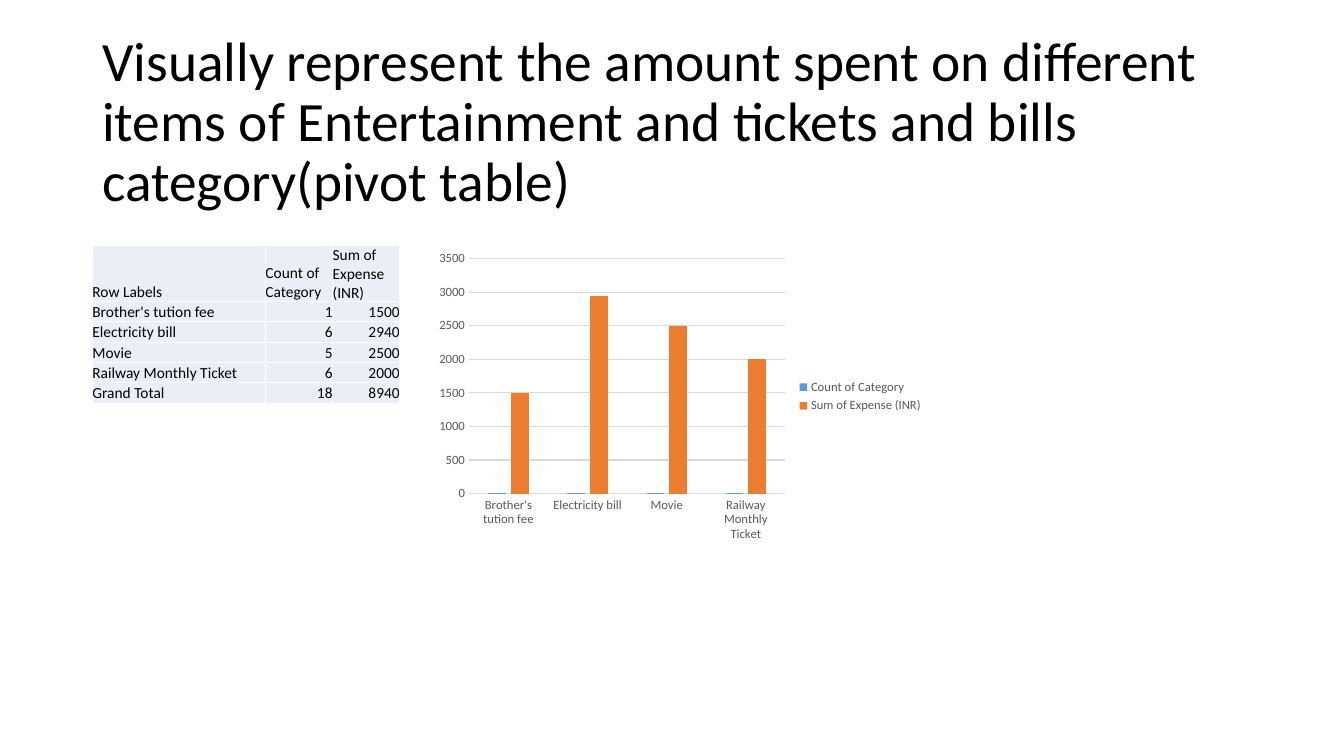
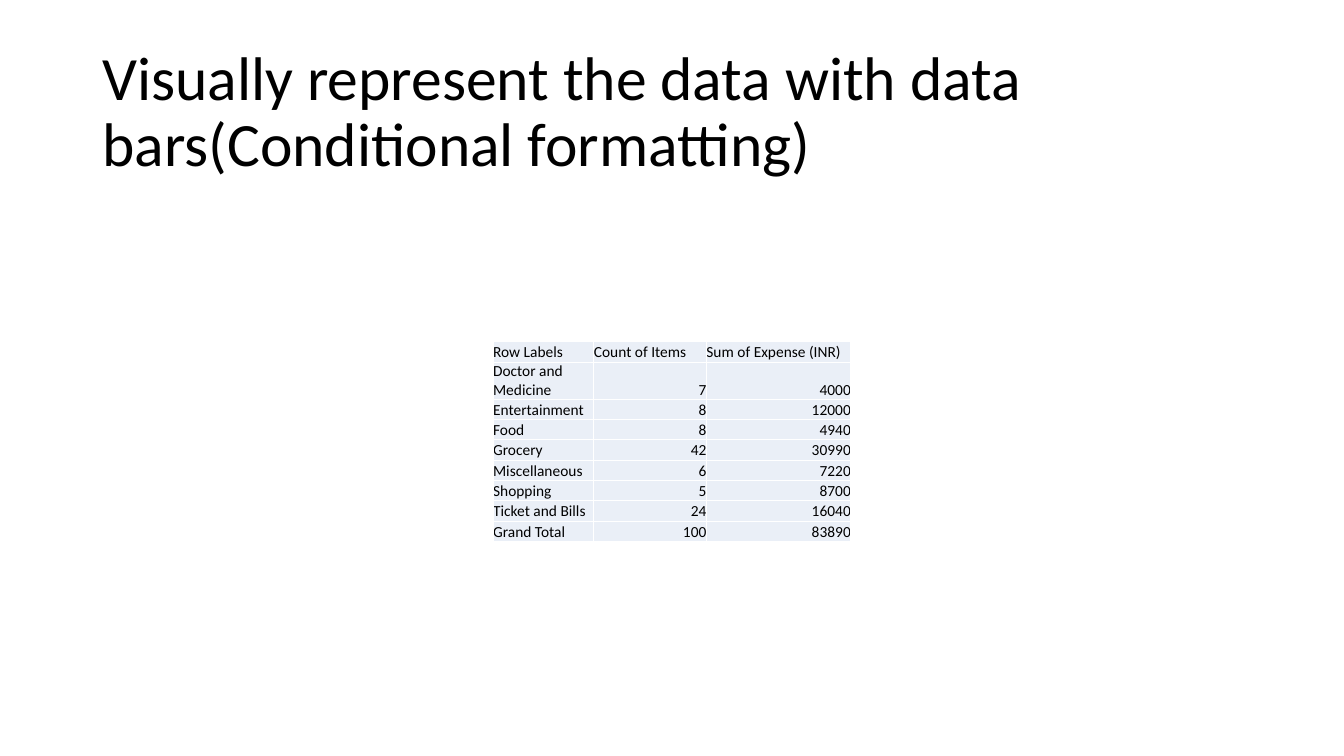
from lxml import etree
from pptx import Presentation
from pptx.chart.data import CategoryChartData
from pptx.dml.color import RGBColor
from pptx.enum.chart import XL_CHART_TYPE, XL_LEGEND_POSITION, XL_TICK_MARK
from pptx.enum.text import MSO_ANCHOR, PP_ALIGN
from pptx.oxml.ns import qn
from pptx.util import Inches, Pt

BARS = XL_CHART_TYPE.COLUMN_CLUSTERED
SIDE = XL_LEGEND_POSITION.RIGHT
BARE = XL_TICK_MARK.NONE
MID, LOW = MSO_ANCHOR.MIDDLE, MSO_ANCHOR.BOTTOM
LEFT, RIGHT = PP_ALIGN.LEFT, PP_ALIGN.RIGHT

HIGH = Inches(7.5)
UNIT = HIGH // 90
WIDE = UNIT * 160
EDGE = 11
LINE = 2.42

COLOR = {
    "ink": "000000",
    "cell": "EAEFF7",
    "rule": "FFFFFF",
    "label": "595959",
    "grid": "D9D9D9",
    "count": "5B9BD5",
    "sum": "ED7D31",
}
FRAME = {"word_wrap": True, "vertical_anchor": MID}
CELL = {"margin_left": 0, "margin_right": 0, "margin_top": 0,
        "margin_bottom": 0, "vertical_anchor": LOW}
PLAIN = {"first_row": False, "horz_banding": False}
CHART = {"has_title": False, "has_legend": True}
PLOT = {"gap_width": 219, "overlap": -27, "vary_by_categories": False}
LEGEND = {"position": SIDE, "include_in_layout": False}
AXIS = {"major_tick_mark": BARE, "minor_tick_mark": BARE}

BILLS = [
    ("Row Labels", "Count of Category", "Sum of Expense (INR)"),
    ("Brother's tution fee", 1, 1500),
    ("Electricity bill", 6, 2940),
    ("Movie", 5, 2500),
    ("Railway Monthly Ticket", 6, 2000),
    ("Grand Total", 18, 8940),
]
ITEMS = [
    ("Row Labels", "Count of Items", "Sum of Expense (INR)"),
    ("Doctor and Medicine", 7, 4000),
    ("Entertainment", 8, 12000),
    ("Food", 8, 4940),
    ("Grocery", 42, 30990),
    ("Miscellaneous", 6, 7220),
    ("Shopping", 5, 8700),
    ("Ticket and Bills", 24, 16040),
    ("Grand Total", 100, 83890),
]


def span(*cells):
    return [round(n * UNIT) for n in cells]


def tint(name):
    return RGBColor.from_string(COLOR[name])


def apply(thing, form):
    for key, value in form.items():
        setattr(thing, key, value)


def style(font, size, color="ink"):
    apply(font, {"name": "Calibri", "size": Pt(size), "bold": False})
    font.color.rgb = tint(color)


def paint(fill, color):
    fill.solid()
    fill.fore_color.rgb = tint(color)


def rule(line):
    line.width = Pt(0.75)
    paint(line.fill, "grid")


def title(slide, text, tall, size):
    frame = slide.shapes.add_textbox(*span(EDGE, 4.8, 138, tall)).text_frame
    apply(frame, FRAME)
    para = frame.paragraphs[0]
    para.text = text
    para.line_spacing = 0.9
    style(para.font, size)


def border(cell):
    props = cell._tc.get_or_add_tcPr()
    for side in ("a:lnL", "a:lnR", "a:lnT", "a:lnB"):
        line = etree.SubElement(props, qn(side), w=str(Pt(1)))
        fill = etree.SubElement(line, qn("a:solidFill"))
        etree.SubElement(fill, qn("a:srgbClr"), val=COLOR["rule"])


def fill_cell(cell, value):
    border(cell)
    apply(cell, CELL)
    paint(cell.fill, "cell")
    para = cell.text_frame.paragraphs[0]
    para.text = str(value)
    para.alignment = RIGHT if isinstance(value, int) else LEFT
    style(para.runs[0].font, 11)


def table(slide, data, left, top, cols, head=LINE):
    tall = head + LINE * (len(data) - 1)
    box = span(left, top, sum(cols), tall)
    grid = slide.shapes.add_table(len(data), len(cols), *box).table
    apply(grid, PLAIN)
    for col, wide in zip(grid.columns, span(*cols)):
        col.width = wide
    for num, (row, values) in enumerate(zip(grid.rows, data)):
        row.height = span(LINE if num else head)[0]
        for cell, value in zip(row.cells, values):
            fill_cell(cell, value)


def chart(slide, data, box):
    head, *rows = data[:-1]
    names, *series = zip(*rows)
    feed = CategoryChartData()
    feed.categories = names
    for name, values in zip(head[1:], series):
        feed.add_series(name, values)
    graph = slide.shapes.add_chart(BARS, *span(*box), feed).chart
    apply(graph, CHART)
    style(graph.font, 10)
    plot = graph.plots[0]
    apply(plot, PLOT)
    for bars, color in zip(plot.series, ("count", "sum")):
        paint(bars.format.fill, color)
    apply(graph.legend, LEGEND)
    style(graph.legend.font, 9, "label")
    base, scale = graph.category_axis, graph.value_axis
    for axis in (base, scale):
        apply(axis, AXIS)
        style(axis.tick_labels.font, 9, "label")
    rule(base.format.line)
    scale.format.line.fill.background()
    rule(scale.major_gridlines.format.line)


def main():
    deck = Presentation()
    apply(deck, {"slide_width": WIDE, "slide_height": HIGH})
    blank = deck.slide_layouts[6]

    slide = deck.slides.add_slide(blank)
    title(slide, "Visually represent the amount spent on different items of "
          "Entertainment and tickets and bills category(pivot table)", 19.8, 39.6)
    table(slide, BILLS, EDGE, 29.2, (20.6, 8, 8), 6.7)
    chart(slide, BILLS, (51.1, 29.2, 60, 36))

    slide = deck.slides.add_slide(blank)
    title(slide, "Visually represent the data with data "
          "bars(Conditional formatting)", 17.4, 44)
    table(slide, ITEMS, 58.7, 40.7, (12, 13.4, 17.2))

    deck.save("out.pptx")


if __name__ == "__main__":
    main()
